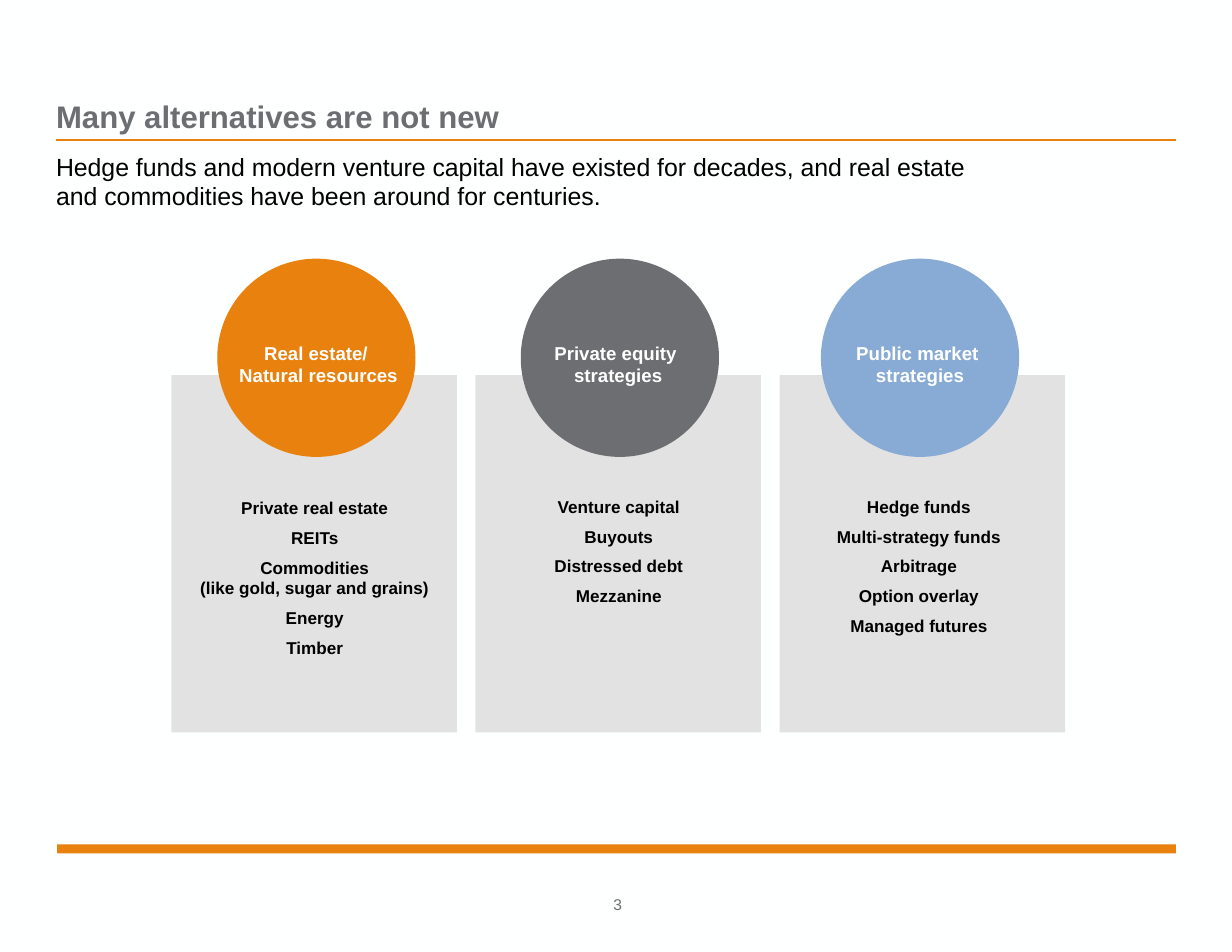
from copy import deepcopy

from lxml.etree import SubElement
from pptx import Presentation
from pptx.dml.color import RGBColor
from pptx.enum.shapes import MSO_CONNECTOR as Connector, MSO_SHAPE as Shape
from pptx.enum.text import MSO_ANCHOR as Anchor, MSO_AUTO_SIZE as AutoSize, PP_ALIGN as Align
from pptx.oxml.ns import qn
from pptx.util import Inches, Pt

ORANGE, GREY, BLUE = "E8810D", "6D6E71", "88ABD5"
PANEL, BLACK, WHITE, PAPER = "E2E2E3", "000000", "FFFFFF", "FEFFFF"
COLUMNS, ROWS = 110, 85
CARD_LEFT, CARD_STEP, CARD_WIDTH = 15.3, 27.15, 25.5
CIRCLE, LABEL_WIDTH = 17.7, 22
CARDS = [
    (ORANGE, "Real estate/ \nNatural resources", 28.25, 28.45, 28.1, 43.9,
     ["Private real estate", "REITs", "Commodities\n(like gold, sugar and grains)",
      "Energy", "Timber"]),
    (GREY, "Private equity \nstrategies", 55.35, 55.2, 55.25, 43.8,
     ["Venture capital", "Buyouts", "Distressed debt", "Mezzanine"]),
    (BLUE, "Public market \nstrategies", 82.15, 82.15, 82.05, 43.8,
     ["Hedge funds", "Multi-strategy funds", "Arbitrage", "Option overlay",
      "Managed futures"]),
]


def color(value):
    return RGBColor.from_string(value)


def write(box, lines, size, ink=BLACK, bold=False, align=Align.LEFT, gap=0,
          anchor=Anchor.TOP, margins=(0.1, 0.05, 0.1, 0.05), wrap=True):
    frame = box.text_frame
    frame.auto_size, frame.word_wrap, frame.vertical_anchor = AutoSize.NONE, wrap, anchor
    (frame.margin_left, frame.margin_top,
     frame.margin_right, frame.margin_bottom) = map(Inches, margins)
    for index, line in enumerate(lines):
        para = frame.add_paragraph() if index else frame.paragraphs[0]
        para.text = line.replace("\n", "\v")
        para.alignment = align
        para.space_before = Pt(gap if index else 0)
        for span in para.runs:
            span.font.name, span.font.size, span.font.bold = "Arial", Pt(size), bold
            span.font.color.rgb = color(ink)
        for line_break in para._p.findall(qn("a:br")):
            line_break.append(deepcopy(para.runs[0]._r.rPr))


class Page:
    """Draws styled elements on one slide, measured in grid columns and rows."""

    def __init__(self, deck):
        self.column, self.row = deck.slide_width / COLUMNS, deck.slide_height / ROWS
        self.slide = deck.slides.add_slide(deck.slide_layouts[1])
        fill = self.slide.background.fill
        fill.solid()
        fill.fore_color.rgb = color(PAPER)

    def area(self, left, top, width, height):
        return (round(left * self.column), round(top * self.row),
                round(width * self.column), round(height * self.row))

    def placeholder(self, index, area, lines, **style):
        box = self.slide.placeholders[index]
        box.left, box.top, box.width, box.height = self.area(*area)
        write(box, lines, **style)
        for para in box.text_frame.paragraphs:
            props = para._p.get_or_add_pPr()
            props.set("marL", "0")
            props.set("indent", "0")
            SubElement(props, qn("a:buNone"))

    def shape(self, kind, area, fill):
        shape = self.slide.shapes.add_shape(kind, *self.area(*area))
        shape.shadow.inherit = False
        shape.fill.solid()
        shape.fill.fore_color.rgb = color(fill)
        shape.line.fill.background()

    def rule(self, left, right, top, ink):
        x1, y, x2, _ = self.area(left, top, right, 0)
        line = self.slide.shapes.add_connector(Connector.STRAIGHT, x1, y, x2, y)
        line.line.color.rgb, line.line.width = color(ink), Pt(1)
        SubElement(line._element.spPr, qn("a:effectLst"))

    def text(self, center, top, width, height, lines, **style):
        area = self.area(center - width / 2, top, width, height)
        write(self.slide.shapes.add_textbox(*area), lines, align=Align.CENTER, **style)

    def card(self, number, fill, label, circle, label_center, list_center, list_top, items):
        left = CARD_LEFT + number * CARD_STEP
        self.shape(Shape.RECTANGLE, (left, 33.5, CARD_WIDTH, 31.9), PANEL)
        self.shape(Shape.OVAL, (circle - CIRCLE / 2, 23.1, CIRCLE, CIRCLE), fill)
        self.text(label_center, 30, LABEL_WIDTH, 5, [label], size=12, ink=WHITE, bold=True)
        self.text(list_center, list_top, CARD_WIDTH, 15.8, items, size=11, bold=True, gap=6)


def main():
    deck = Presentation()
    deck.slide_width, deck.slide_height = Inches(11), Inches(8.5)
    page = Page(deck)
    page.shape(Shape.RECTANGLE, (5.1, 75.4, 99.9, 0.8), ORANGE)
    page.rule(5, 105, 12.5, ORANGE)
    page.placeholder(0, (5, 5.2, 99.9, 6.8), ["Many alternatives are not new"], size=20,
                     ink=GREY, bold=True, anchor=Anchor.BOTTOM, margins=(0, 0, 0, 0))
    page.placeholder(1, (5, 13.5, 86.1, 9.9),
                     ["Hedge funds and modern venture capital have existed for decades, "
                      "and real estate and commodities have been around for centuries."],
                     size=16, margins=(0, 0, 0.1, 0.05))
    for number, card in enumerate(CARDS):
        page.card(number, *card)
    page.text(55.15, 79.9, 1.7, 1.7, ["3"], size=10, ink=GREY, anchor=Anchor.BOTTOM,
              margins=(0, 0, 0, 0), wrap=False)
    deck.save("out.pptx")


if __name__ == "__main__":
    main()
